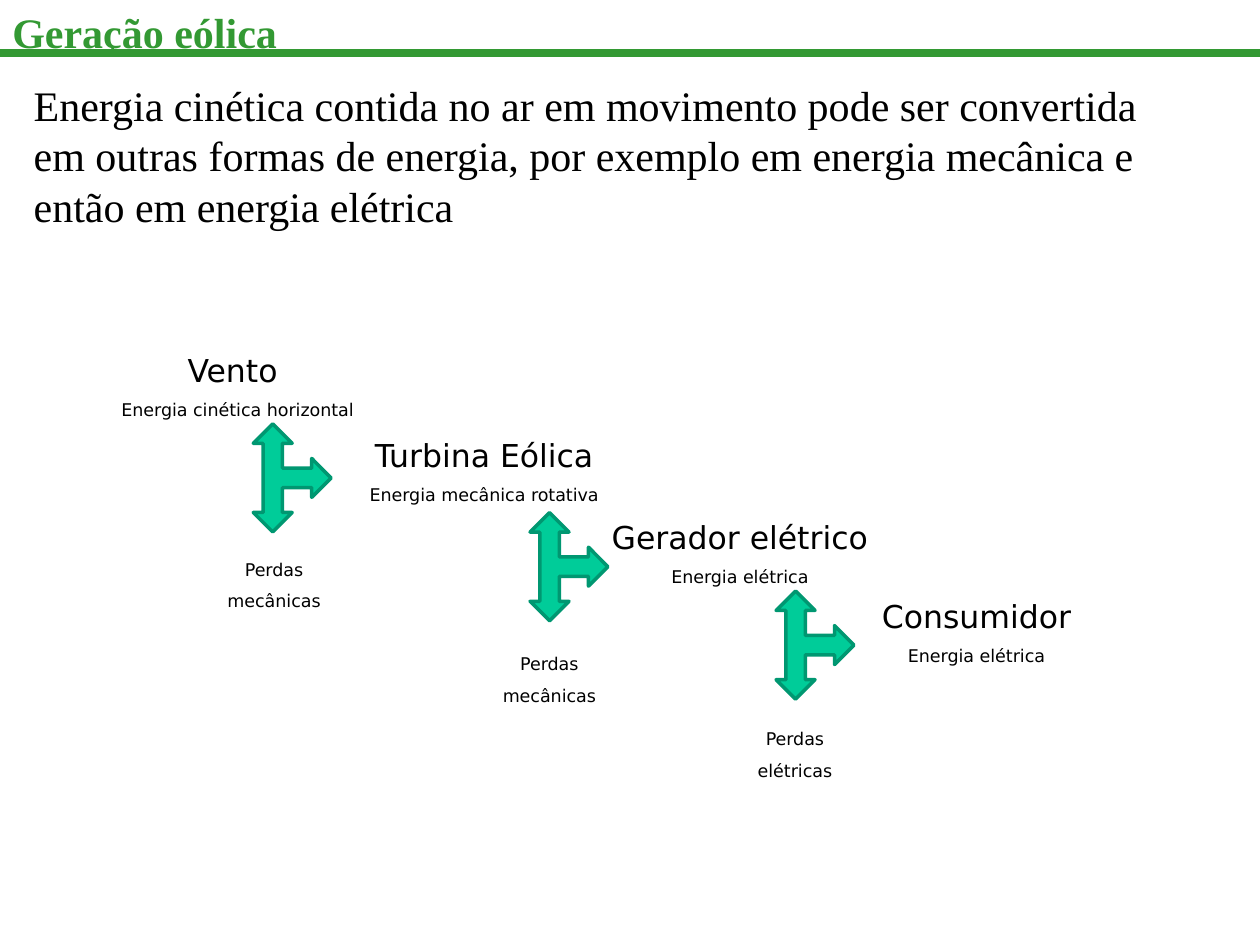
from pptx import Presentation
from pptx.dml.color import RGBColor
from pptx.enum.shapes import MSO_CONNECTOR as Conn, MSO_SHAPE as Shape
from pptx.enum.text import MSO_AUTO_SIZE as Auto, PP_ALIGN as Align
from pptx.oxml.ns import qn
from pptx.util import Cm, Pt
from lxml.etree import SubElement

GREEN = RGBColor(0x33, 0x99, 0x33)
TEAL = RGBColor(0x00, 0xCC, 0x99)
EDGE = RGBColor(0x00, 0x97, 0x71)
BLACK = RGBColor(0, 0, 0)

SERIF = {"name": "Times New Roman", "size": Pt(24)}
TITLE = {**SERIF, "bold": True}
HEAD = {"name": "DejaVu Sans", "size": Pt(18)}
SMALL = {**HEAD, "size": Pt(10)}
PROSE = {"line_spacing": 1.0}
LABEL = {"line_spacing": 1.5, "alignment": Align.CENTER}

# Stages: name, energy, left, top, width
STAGES = [
    ("Vento ", "Energia cinética horizontal", 2.11, 6.56, 5.36),
    ("Turbina Eólica", "Energia mecânica rotativa", 7.08, 8.28, 5.36),
    ("Gerador elétrico", "Energia elétrica", 12.03, 9.93, 5.77),
    ("Consumidor", "Energia elétrica", 17.4, 11.53, 4.57),
]
# Losses: text, left, top
LOSSES = [
    ("Perdas mecânicas", 4.23, 10.93),
    ("Perdas mecânicas", 9.78, 12.83),
    ("Perdas elétricas", 14.73, 14.34),
]
# Left and top of each arrow before its quarter turn
ARROWS = [(4.8, 8.85), (10.38, 10.64), (15.34, 12.22)]


def apply(obj, form):
    for key, val in form.items():
        setattr(obj, key, val)


def add_text(slide, box, lines, para, color=BLACK):
    """Add a text box; lines holds pairs of text and font format."""
    frame = slide.shapes.add_textbox(*map(Cm, box)).text_frame
    apply(frame, {"word_wrap": True, "auto_size": Auto.SHAPE_TO_FIT_TEXT})
    for i, (text, font) in enumerate(lines):
        par = frame.add_paragraph() if i else frame.paragraphs[0]
        apply(par, para)
        run = par.add_run()
        run.text = text
        apply(run.font, font)
        run.font.color.rgb = color


def add_rule(slide, y):
    rule = slide.shapes.add_connector(Conn.STRAIGHT, 0, Cm(y), Cm(25.4), Cm(y))
    rule.line.color.rgb = GREEN
    rule.line.width = Pt(4.5)
    SubElement(rule._element.spPr, qn("a:effectLst"))


def add_arrow(slide, x, y):
    arrow = slide.shapes.add_shape(
        Shape.LEFT_RIGHT_UP_ARROW, Cm(x), Cm(y), Cm(2.18), Cm(1.57))
    arrow.rotation = 90
    arrow.shadow.inherit = False
    arrow.fill.solid()
    arrow.fill.fore_color.rgb = TEAL
    arrow.line.color.rgb = EDGE
    arrow.line.width = Pt(2)


def main():
    prs = Presentation()
    apply(prs, {"slide_width": Cm(25.4), "slide_height": Cm(19.05)})
    slide = prs.slides.add_slide(prs.slide_layouts[6])

    # Title and rule
    add_text(slide, (0, 0, 25.4, 1.27), [("Geração eólica", TITLE)],
             PROSE, GREEN)
    add_rule(slide, 1.06)

    # Energy chain
    for name, energy, x, y, wide in STAGES:
        add_text(slide, (x, y, wide, 2.03),
                 [(name, HEAD), (energy, SMALL)], LABEL)
    for x, y in ARROWS:
        add_arrow(slide, x, y)
    for text, x, y in LOSSES:
        add_text(slide, (x, y, 2.59, 1.5), [(text, SMALL)], LABEL)

    # Statement
    add_text(slide, (0.43, 1.48, 23.06, 3.33), [(
        "Energia cinética contida no ar em movimento pode ser convertida "
        "em outras formas de energia, por exemplo em energia mecânica e "
        "então em energia elétrica", SERIF)], PROSE)

    prs.save("out.pptx")


if __name__ == "__main__":
    main()
